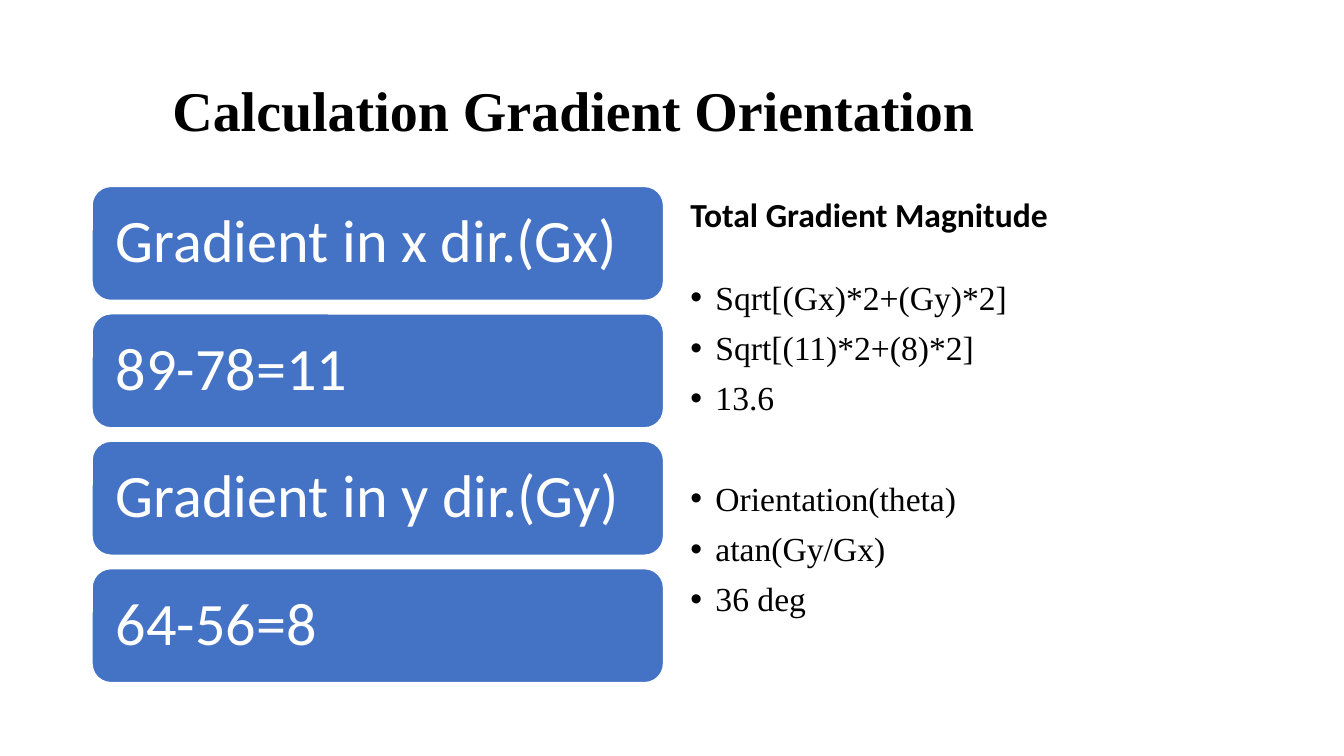
from pptx import Presentation
from pptx.dml.color import RGBColor
from pptx.enum.shapes import MSO_SHAPE
from pptx.enum.text import MSO_ANCHOR
from pptx.util import Pt
from lxml.etree import SubElement
from pptx.oxml.ns import qn

COLORS = {"blue": "4472C4", "white": "FFFFFF", "black": "000000"}
SERIF = "Times New Roman"
SANS = "Calibri"


def style(para, color, **values):
    para.line_spacing = 0.9
    for name, value in values.items():
        setattr(para.font, name, value)
    para.font.color.rgb = RGBColor.from_string(COLORS[color])


def frame(shape, anchor, **margins):
    body = shape.text_frame
    body.word_wrap = True
    body.vertical_anchor = anchor
    for side, value in margins.items():
        setattr(body, "margin_" + side, Pt(value))
    return body


deck = Presentation()
deck.slide_width = Pt(960)
deck.slide_height = Pt(540)
slide = deck.slides.add_slide(deck.slide_layouts[6])
shapes = slide.shapes

title = shapes.add_textbox(Pt(66), Pt(28.8), Pt(828), Pt(104.4))
para = frame(title, MSO_ANCHOR.MIDDLE, left=57.2).paragraphs[0]
para.text = "Calculation Gradient Orientation"
style(para, "black", name=SERIF, size=Pt(40), bold=True)

steps = ["Gradient in x dir.(Gx)", "89-78=11", "Gradient in y dir.(Gy)", "64-56=8"]
for row, text in enumerate(steps):
    bar = shapes.add_shape(
        MSO_SHAPE.ROUNDED_RECTANGLE, Pt(65.8), Pt(133.2 + row * 91), Pt(408.2), Pt(81.4)
    )
    bar.shadow.inherit = False
    bar.fill.solid()
    bar.fill.fore_color.rgb = RGBColor.from_string(COLORS["blue"])
    bar.line.color.rgb = RGBColor.from_string(COLORS["white"])
    bar.line.width = Pt(1)
    body = frame(bar, MSO_ANCHOR.MIDDLE, left=13, right=13, top=13, bottom=13)
    para = body.paragraphs[0]
    para.text = text
    para.alignment = 1
    style(para, "white", name=SANS, size=Pt(43))

head = shapes.add_textbox(Pt(486), Pt(132.5), Pt(408.2), Pt(64.8))
para = frame(head, MSO_ANCHOR.TOP, top=9.5).paragraphs[0]
para.text = "Total Gradient Magnitude"
style(para, "black", name=SANS, size=Pt(24), bold=True)

points = [
    ("Sqrt[(Gx)*2+(Gy)*2]", 0),
    ("Sqrt[(11)*2+(8)*2]", 10),
    ("13.6", 10),
    ("Orientation(theta)", 45.8),
    ("atan(Gy/Gx)", 10),
    ("36 deg", 10),
]
list_box = shapes.add_textbox(Pt(486), Pt(197.3), Pt(408.2), Pt(290.2))
body = frame(list_box, MSO_ANCHOR.TOP)
for row, (text, gap) in enumerate(points):
    para = body.add_paragraph() if row else body.paragraphs[0]
    para.text = text
    para.space_before = Pt(gap)
    props = para._p.get_or_add_pPr()
    props.set("marL", str(Pt(18)))
    props.set("indent", str(-Pt(18)))
    SubElement(props, qn("a:buFont"), typeface="Arial")
    SubElement(props, qn("a:buChar"), char="•")
    style(para, "black", name=SERIF, size=Pt(24))

deck.save("out.pptx")
